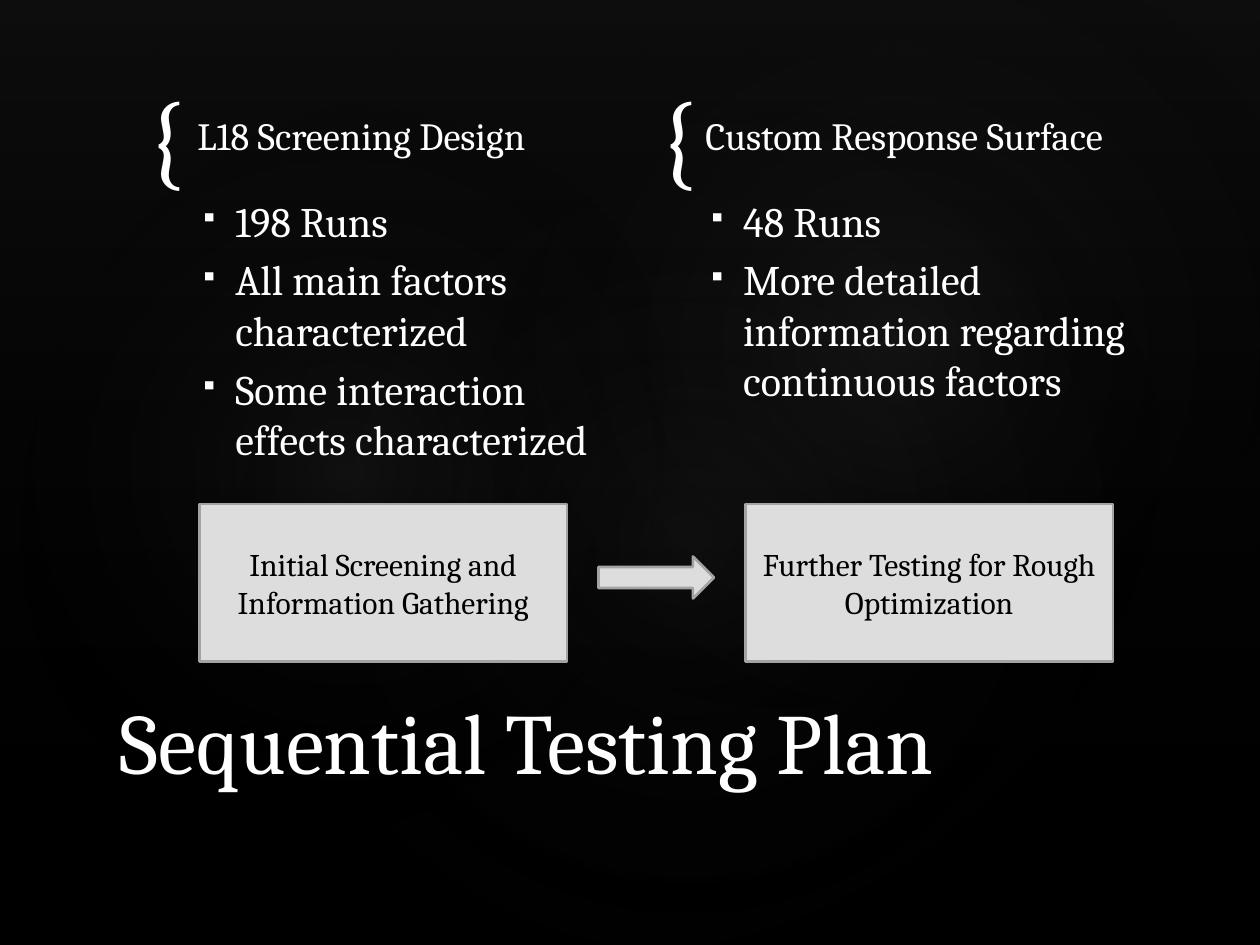
from dataclasses import dataclass

from pptx import Presentation
from pptx.dml.color import RGBColor
from pptx.enum.shapes import MSO_SHAPE
from pptx.enum.text import MSO_ANCHOR, MSO_AUTO_SIZE, PP_ALIGN
from pptx.oxml import parse_xml
from pptx.oxml.ns import nsdecls, qn
from pptx.util import Pt

RECTANGLE, ELLIPSE, RIGHT_ARROW = MSO_SHAPE.RECTANGLE, MSO_SHAPE.OVAL, MSO_SHAPE.RIGHT_ARROW
TOP, MIDDLE, BOTTOM = MSO_ANCHOR.TOP, MSO_ANCHOR.MIDDLE, MSO_ANCHOR.BOTTOM
LEFT, CENTER = PP_ALIGN.LEFT, PP_ALIGN.CENTER
NO_AUTOFIT = MSO_AUTO_SIZE.NONE

FONT = "Cambria"
BLACK = RGBColor(0x00, 0x00, 0x00)
WHITE = RGBColor(0xFF, 0xFF, 0xFF)
SHEEN = RGBColor(0x26, 0x26, 0x26)
GLOW = RGBColor(0x94, 0x94, 0x94)
BOX_FILL = RGBColor(0xDD, 0xDD, 0xDD)
BOX_LINE = RGBColor(0xA3, 0xA3, 0xA3)
SLIDE_WIDTH, SLIDE_HEIGHT = 720, 540
LINEAR = '<a:lin ang="5400000" scaled="0"/>'
RADIAL = '<a:path path="circle"><a:fillToRect l="50000" t="50000" r="50000" b="50000"/></a:path>'


@dataclass(frozen=True)
class Area:
    left: float
    top: float
    width: float
    height: float

    def lengths(self) -> tuple:
        return Pt(self.left), Pt(self.top), Pt(self.width), Pt(self.height)


@dataclass(frozen=True)
class Stop:
    position: int
    color: RGBColor
    opacity: int


@dataclass(frozen=True)
class Glow:
    area: Area
    rotation: float
    opacity: int


@dataclass(frozen=True)
class Stage:
    brace_left: float
    text_left: float
    heading_width: float
    box_left: float
    heading: str
    bullets: tuple[str, ...]
    outcome: str


GLOWS = (
    Glow(Area(108, 82, 570.2, 449.3), 328.7, 7),
    Glow(Area(-21.6, 92.2, 436.3, 352.8), 294.3, 8),
    Glow(Area(257.8, 9.4, 510.5, 374.4), 328.7, 8),
)
STAGES = (
    Stage(83.5, 105.8, 258, 114, "L18 Screening Design",
          ("198 Runs", "All main factors characterized",
           "Some interaction effects characterized"),
          "Initial Screening and Information Gathering"),
    Stage(376.5, 396, 270, 426, "Custom Response Surface",
          ("48 Runs", "More detailed information regarding continuous factors"),
          "Further Testing for Rough Optimization"),
)


def add_gradient(slide, preset, area: Area, stops: tuple[Stop, ...], direction: str,
                 rotation: float = 0) -> None:
    shape = slide.shapes.add_shape(preset, *area.lengths())
    shape.rotation = rotation
    shape.shadow.inherit = False
    shape.line.fill.background()
    shape.fill.background()
    stop_list = "".join(
        f'<a:gs pos="{stop.position * 1000}"><a:srgbClr val="{stop.color}">'
        f'<a:alpha val="{stop.opacity * 1000}"/></a:srgbClr></a:gs>' for stop in stops)
    gradient = parse_xml(f'<a:gradFill {nsdecls("a")} rotWithShape="1">'
                         f'<a:gsLst>{stop_list}</a:gsLst>{direction}</a:gradFill>')
    properties = shape.element.spPr
    properties.replace(properties.find(qn("a:noFill")), gradient)


def add_bullet(paragraph) -> None:
    properties = paragraph._p.get_or_add_pPr()
    properties.set("marL", str(Pt(21.6)))
    properties.set("indent", str(-Pt(20.2)))
    for markup in ('<a:buSzPct {} val="60000"/>', '<a:buChar {} char="▪"/>'):
        properties.append(parse_xml(markup.format(nsdecls("a"))))


def write_text(shape, lines: tuple[str, ...], size: float, color: RGBColor,
               anchor=TOP, alignment=LEFT, bulleted: bool = False) -> None:
    frame = shape.text_frame
    frame.word_wrap = True
    frame.auto_size = NO_AUTOFIT
    frame.vertical_anchor = anchor
    for index, line in enumerate(lines):
        paragraph = frame.add_paragraph() if index else frame.paragraphs[0]
        paragraph.text = line
        if bulleted:
            add_bullet(paragraph)
        paragraph.alignment = alignment
        paragraph.space_before = Pt(0.2 * size if index else 0)
        paragraph.font.name = FONT
        paragraph.font.size = Pt(size)
        paragraph.font.color.rgb = color


def add_brace(slide, left: float) -> None:
    brace = slide.shapes.add_textbox(*Area(left, 41, 36, 72.7).lengths())
    write_text(brace, ("{",), 60, WHITE)
    frame = brace.text_frame
    frame.margin_left = frame.margin_top = frame.margin_right = frame.margin_bottom = 0


def add_panel(slide, preset, area: Area):
    panel = slide.shapes.add_shape(preset, *area.lengths())
    panel.shadow.inherit = False
    panel.fill.solid()
    panel.fill.fore_color.rgb = BOX_FILL
    panel.line.color.rgb = BOX_LINE
    panel.line.width = Pt(1.5)
    return panel


def add_stage(slide, stage: Stage) -> None:
    add_brace(slide, stage.brace_left)
    heading = slide.shapes.add_textbox(
        *Area(stage.text_left, 52, stage.heading_width, 50.4).lengths())
    write_text(heading, (stage.heading,), 22, WHITE, MIDDLE)
    details = slide.shapes.add_textbox(*Area(stage.text_left, 108, 258, 216).lengths())
    write_text(details, stage.bullets, 24, WHITE, bulleted=True)
    box = add_panel(slide, RECTANGLE, Area(stage.box_left, 288, 210, 90))
    write_text(box, (stage.outcome,), 18, BLACK, MIDDLE, CENTER)


def place_title(slide) -> None:
    title = slide.shapes.title
    title.left, title.top, title.width, title.height = Area(61.2, 384, 594, 72).lengths()
    write_text(title, ("Sequential Testing Plan",), 49, WHITE, BOTTOM)
    title.element.getparent().append(title.element)


def main() -> None:
    presentation = Presentation()
    presentation.slide_width, presentation.slide_height = Pt(SLIDE_WIDTH), Pt(SLIDE_HEIGHT)
    slide = presentation.slides.add_slide(presentation.slide_layouts.get_by_name("Title Only"))
    slide.background.fill.solid()
    slide.background.fill.fore_color.rgb = BLACK

    add_gradient(slide, RECTANGLE, Area(0, 0, SLIDE_WIDTH, SLIDE_HEIGHT),
                 (Stop(0, SHEEN, 36), Stop(100, BLACK, 10)), LINEAR)
    for glow in GLOWS:
        add_gradient(slide, ELLIPSE, glow.area,
                     (Stop(0, GLOW, glow.opacity), Stop(58, BLACK, 0), Stop(100, BLACK, 0)),
                     RADIAL, glow.rotation)
    for stage in STAGES:
        add_stage(slide, stage)
    add_panel(slide, RIGHT_ARROW, Area(342, 318, 66, 24))
    place_title(slide)
    presentation.save("out.pptx")


if __name__ == "__main__":
    main()
